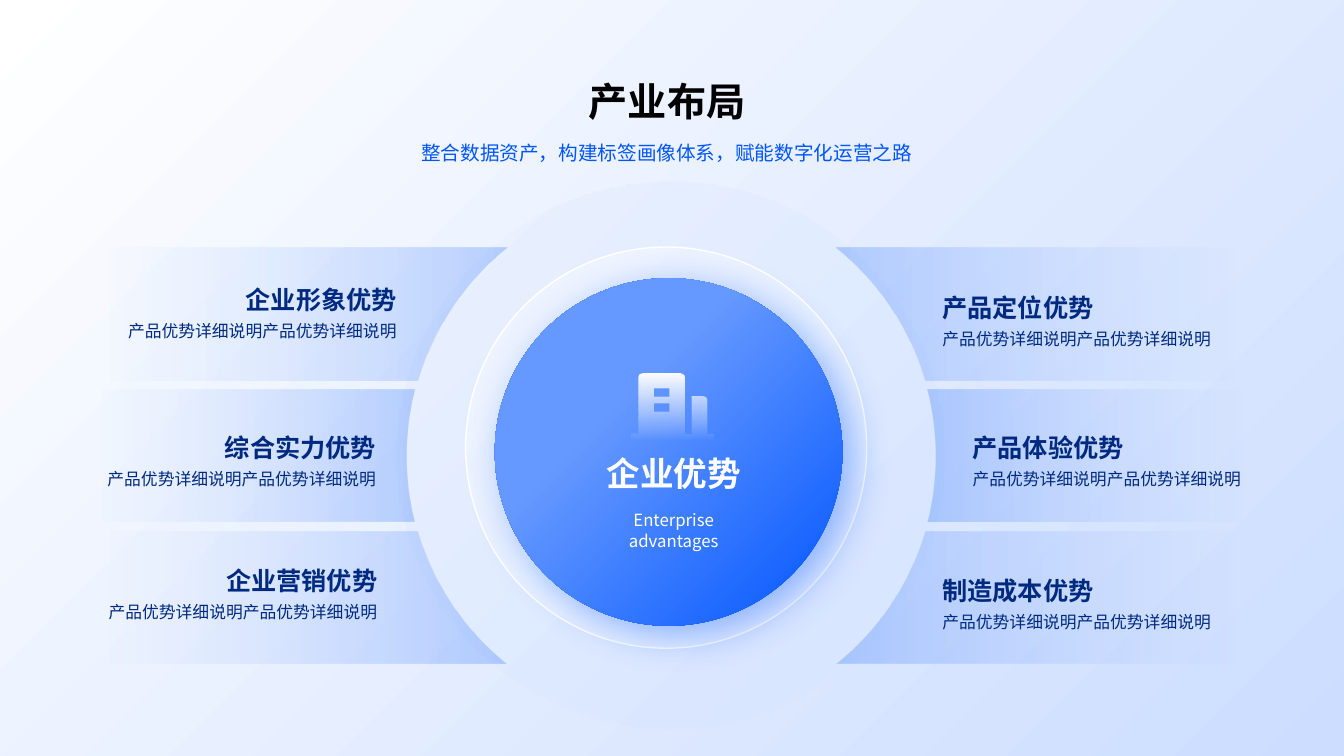
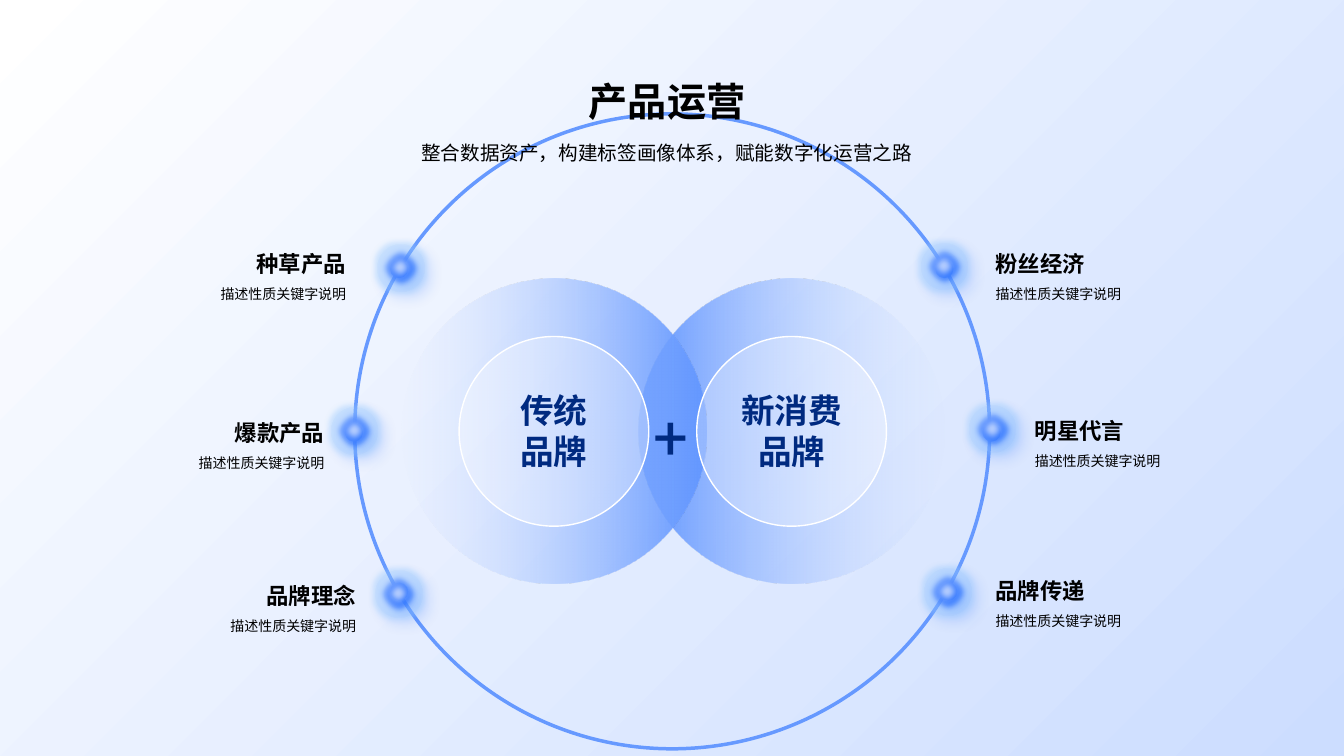
from math import asin, cos, pi, sin, tan
from lxml.etree import SubElement
from pptx import Presentation
from pptx.dml.color import RGBColor
from pptx.enum.shapes import MSO_SHAPE as Preset
from pptx.enum.text import MSO_AUTO_SIZE as AutoSize, PP_ALIGN as Align
from pptx.oxml import parse_xml
from pptx.oxml.ns import nsdecls, qn
from pptx.util import Cm, Pt

COLORS = {"white": "FFFFFF", "black": "000000", "pale": "CCDDFF", "halo": "99CCFF",
          "sky": "6699FF", "blue": "0055FF", "navy": "002A80"}
SANS, LATIN = "Noto Sans CJK SC", "Roboto"
CORNER, CENTER = (0, 0, 100, 100), (50, 50, 50, 50)

SUBTITLE = "整合数据资产，构建标签画像体系，赋能数字化运营之路"
ADVANTAGE_DETAIL = "产品优势详细说明产品优势详细说明"
ADVANTAGES = [
    ("企业形象优势", 2.73, 6.81, Align.RIGHT),
    ("综合实力优势", 2.21, 10.55, Align.RIGHT),
    ("企业营销优势", 2.24, 13.89, Align.RIGHT),
    ("产品定位优势", 23.5, 7.01, Align.LEFT),
    ("产品体验优势", 24.26, 10.55, Align.LEFT),
    ("制造成本优势", 23.5, 14.15, Align.LEFT),
]
KEYWORD_DETAIL = "描述性质关键字说明"
KEYWORDS = [
    ("种草产品", 2.98, 5.84, Align.RIGHT, (10.11, 6.76), (10.06, 6.78)),
    ("爆款产品", 2.43, 10.1, Align.RIGHT, (8.94, 10.86), (8.92, 10.9)),
    ("品牌理念", 3.23, 14.2, Align.RIGHT, (10.05, 14.97), (10.06, 14.91)),
    ("粉丝经济", 24.84, 5.84, Align.LEFT, (23.8, 6.72), (23.8, 6.78)),
    ("明星代言", 25.83, 10.05, Align.LEFT, (25.02, 10.82), (24.99, 10.9)),
    ("品牌传递", 24.84, 14.08, Align.LEFT, (23.89, 14.92), (23.9, 14.91)),
]
BRANDS = [("传统品牌", 13.96, 0, 2.92), ("新消费品牌", 19.95, 180, 3.76)]

HUB_X, HUB_Y, HUB_RADIUS = 16.92, 11.5, 6.68
PANEL_TOP, PANEL_PITCH, PANEL_HEIGHT = 6.25, 3.57, 3.33
PANEL_OUTER = {1: 32.06, -1: 1.8}
PANEL_STOPS = [(8, "sky", 0), (100, "blue", 23)]
NODE_SHADOW = ("blue", 40, 8, 6, 45)
NODE_LAYERS = [
    (1.17, [(0, "sky", 0), (87, "sky", 5)], "shape", CENTER, {}),
    (0.69, [(33, "sky", 0), (100, "sky", 7)], "shape", CENTER, {}),
    (1.07, [(33, "sky", 100), (100, "blue", 44)], "circle", CORNER,
     {"shadow": NODE_SHADOW, "soft": 4, "glow": ("halo", 40, 8)}),
    (0.69, [(32, "pale", 100), (100, "sky", 100)], "circle", CORNER,
     {"shadow": NODE_SHADOW, "soft": 4}),
]


def rgb(color):
    return RGBColor.from_string(COLORS[color])


def gradient(stops, angle=0, shape=None, focus=None):
    marks = "".join(
        f'<a:gs pos="{pos * 1000}"><a:srgbClr val="{COLORS[color]}">'
        f'<a:alpha val="{alpha * 1000}"/></a:srgbClr></a:gs>'
        for pos, color, alpha in stops)
    if shape:
        edges = " ".join(f'{side}="{value * 1000}"' for side, value in zip("ltrb", focus))
        course = f'<a:path path="{shape}"><a:fillToRect {edges}/></a:path>'
    else:
        course = f'<a:lin ang="{angle * 60000}" scaled="0"/>'
    return parse_xml(f'<a:gradFill {nsdecls("a")} rotWithShape="1">'
                     f'<a:gsLst>{marks}</a:gsLst>{course}</a:gradFill>')


def swap_fill(holder, fill):
    holder.replace(holder.find(qn("a:solidFill")), fill)


def add_tint(holder, color, alpha):
    tone = SubElement(holder, qn("a:srgbClr"), val=COLORS[color])
    SubElement(tone, qn("a:alpha"), val=str(alpha * 1000))


def paint(shape, fill=None, alpha=100, line=None, width=1, shadow=None, soft=0, glow=None):
    shape.shadow.inherit = False
    if fill is None:
        shape.fill.background()
    else:
        shape.fill.solid()
        if isinstance(fill, str):
            shape.fill.fore_color.rgb = rgb(fill)
            tint = shape.element.spPr.find(qn("a:solidFill"))[0]
            SubElement(tint, qn("a:alpha"), val=str(alpha * 1000))
        else:
            swap_fill(shape.element.spPr, fill)
    if line:
        shape.line.color.rgb = rgb(line)
        shape.line.width = Pt(width)
    else:
        shape.line.fill.background()
    effects = shape.element.spPr.find(qn("a:effectLst"))
    if glow:
        color, opacity, radius = glow
        add_tint(SubElement(effects, qn("a:glow"), rad=str(Pt(radius))), color, opacity)
    if shadow:
        color, opacity, blur, distance, angle = shadow
        outer = SubElement(effects, qn("a:outerShdw"), blurRad=str(Pt(blur)),
                           dist=str(Pt(distance)), dir=str(angle * 60000),
                           algn="ctr", rotWithShape="0")
        add_tint(outer, color, opacity)
    if soft:
        SubElement(effects, qn("a:softEdge"), rad=str(Pt(soft)))


def add_disc(shapes, x, y, size, turn=0, **look):
    disc = shapes.add_shape(Preset.OVAL, Cm(x - size / 2), Cm(y - size / 2), Cm(size), Cm(size))
    disc.rotation = turn
    paint(disc, **look)


def arc(x, y, radius, start, end):
    reach = 4 / 3 * tan((end - start) / 4)

    def at(angle, pull):
        return (x + radius * (cos(angle) - pull * sin(angle)),
                y + radius * (sin(angle) + pull * cos(angle)))

    return at(start, 0), [at(start, reach), at(end, -reach), at(end, 0)]


def add_outline(slide, contours, fill):
    builder, kinds = None, []
    for contour in contours:
        corners = []
        for step in contour:
            curved = isinstance(step, list)
            corners += step if curved else [step]
            kinds += ["curve", "bend", "bend"] if curved else ["corner"]
        kinds.append("close")
        points = [(Cm(x), Cm(y)) for x, y in corners]
        if builder is None:
            builder = slide.shapes.build_freeform(*points[0], scale=1.0)
        else:
            builder.move_to(*points[0])
        builder.add_line_segments(points[1:])
    outline = builder.convert_to_shape()
    course = outline.element.find(".//" + qn("a:path"))
    for segment, kind in zip(list(course), kinds):
        if kind == "curve":
            curve = segment
            curve.tag = qn("a:cubicBezTo")
        elif kind == "bend":
            curve.append(segment[0])
            course.remove(segment)
    paint(outline, fill)


def add_text(slide, box, lines, color, font, align=Align.LEFT, spacing=None, wrap=True, flush=False):
    label = slide.shapes.add_textbox(*map(Cm, box))
    frame = label.text_frame
    frame.word_wrap = wrap
    frame.auto_size = AutoSize.SHAPE_TO_FIT_TEXT
    if flush:
        frame.margin_left = 0
    for index, (text, size, bold) in enumerate(lines):
        paragraph = frame.add_paragraph() if index else frame.paragraphs[0]
        paragraph.alignment = align
        if spacing:
            paragraph.line_spacing = spacing
        run = paragraph.add_run()
        run.text = text
        run.font.size = Pt(size)
        run.font.bold = bold
        run.font.name = font
        run.font.color.rgb = rgb(color)
        SubElement(run.font._element, qn("a:ea"), typeface=font)


def add_heading(slide, title, subtitle_color):
    add_text(slide, (9.3, 1.83, 15.27, 1.45), [(title, 28, True)],
             "black", LATIN, Align.CENTER, flush=True)
    add_text(slide, (8.46, 3.12, 16.94, 1.04), [(SUBTITLE, 14, False)],
             subtitle_color, LATIN, Align.CENTER, 1.5, flush=True)


def add_panel(slide, row, side):
    top = PANEL_TOP + row * PANEL_PITCH
    bottom = top + PANEL_HEIGHT
    start, end = (asin((y - HUB_Y) / HUB_RADIUS) for y in (bottom, top))
    stops = [start, 0, end] if start > 0 > end else [start, end]
    outer = PANEL_OUTER[side]
    contour = [(outer, top), (outer, bottom)]
    for first, last in zip(stops, stops[1:]):
        begin, curve = arc(0, HUB_Y, HUB_RADIUS, first, last)
        mirrored = [(HUB_X + side * x, y) for x, y in [begin] + curve]
        if first == start:
            contour.append(mirrored[0])
        contour.append(mirrored[1:])
    add_outline(slide, [contour], gradient(PANEL_STOPS, 180 if side > 0 else 0))


def add_building(slide):
    left, right, base, ground = 15.92, 17.98, 10.92, 11.1
    body = [(right - 0.18, base), (right, base), (right, ground), (left, ground),
            (left, base), (16.1, base)]
    body += arc(16.2, 9.52, 0.1, pi, 1.5 * pi)
    body += arc(17.15, 9.52, 0.1, 1.5 * pi, 2 * pi)
    body += [(17.25, base), (17.42, base), (17.42, 9.98)]
    body += arc(17.7, 10.08, 0.1, 1.5 * pi, 2 * pi)
    windows = [[(16.48, y), (16.48, y + 0.19), (16.87, y + 0.19), (16.87, y)]
               for y in (10.17, 9.8)]
    add_outline(slide, [body] + windows,
                gradient([(0, "white", 100), (100, "white", 0)], 90))


def add_layout_slide(slide):
    hub = slide.shapes.add_group_shape().shapes
    add_disc(hub, 16.9, 11.47, 13.79, turn=329, fill=gradient(
        [(53, "pale", 12), (100, "blue", 0)], shape="circle", focus=CENTER))
    add_disc(hub, 16.79, 11.28, 10.11, fill="white", alpha=31, line="white")
    add_disc(hub, 16.85, 11.39, 8.76, fill=gradient(
        [(35, "sky", 100), (100, "blue", 100)], shape="circle", focus=CORNER),
        shadow=("blue", 40, 29, 10, 40))
    add_text(slide, (15.01, 11.3, 3.94, 1.27), [("企业优势", 24, True)],
             "white", SANS, Align.CENTER, wrap=False)
    for side in PANEL_OUTER:
        for row in range(3):
            add_panel(slide, row, side)
    for name, x, y, align in ADVANTAGES:
        add_text(slide, (x, y, 7.52, 1.85), [(name, 18, True), (ADVANTAGE_DETAIL, 12, False)],
                 "navy", SANS, align, 1.3)
    add_heading(slide, "产业布局", "blue")
    add_building(slide)
    add_text(slide, (14.58, 12.73, 4.8, 0.76), [("Enterprise advantages", 12, False)],
             "white", SANS, Align.CENTER)


def add_operation_slide(slide):
    middle = 10.87
    for _, x, angle, _ in reversed(BRANDS):
        add_disc(slide.shapes, x, middle, 7.69,
                 fill=gradient([(0, "pale", 0), (97, "sky", 100)], angle))
    add_disc(slide.shapes, 16.94, middle, 16, line="sky", width=2.5)
    for name, x, y, align, _, dot in KEYWORDS:
        add_disc(slide.shapes, *dot, 0.46, fill="sky")
        add_text(slide, (x, y, 5.99, 1.85), [(name, 16, True), (KEYWORD_DETAIL, 10, False)],
                 "black", LATIN, align, 1.5)
    add_heading(slide, "产品运营", "black")
    for *_, node, _ in KEYWORDS:
        marker = slide.shapes.add_group_shape()
        for size, stops, shape, focus, effects in NODE_LAYERS:
            add_disc(marker.shapes, *node, size,
                     fill=gradient(stops, shape=shape, focus=focus), **effects)
    for name, x, _, width in BRANDS:
        add_disc(slide.shapes, x, middle, 4.78, fill="white", alpha=31, line="white")
        add_text(slide, (x - width / 2, 9.71, width, 2.31), [(name, 24, True)],
                 "navy", LATIN, Align.CENTER)
    add_text(slide, (16.19, 9.91, 1.42, 2.13), [("+", 44, False)],
             "navy", LATIN, Align.CENTER, wrap=False)


def main():
    deck = Presentation()
    deck.slide_width, deck.slide_height = Cm(33.87), Cm(19.05)
    master = deck.slide_master
    master.background.fill.solid()
    swap_fill(master.element.find(".//" + qn("p:bgPr")), gradient(
        [(0, "white", 100), (100, "pale", 56)], shape="circle", focus=CORNER))
    for fill_slide in (add_layout_slide, add_operation_slide):
        fill_slide(deck.slides.add_slide(deck.slide_layouts[6]))
    deck.save("out.pptx")


if __name__ == "__main__":
    main()
